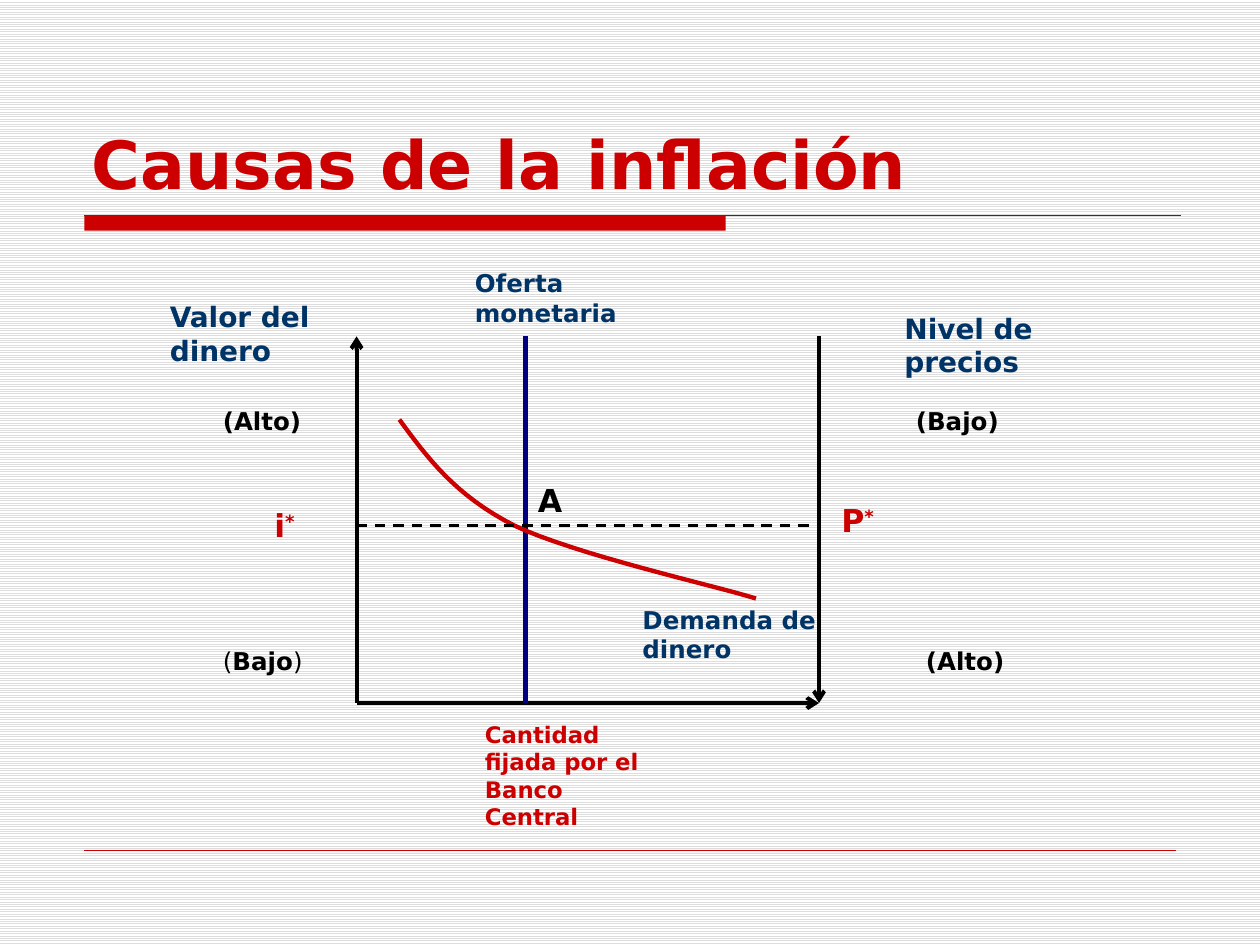
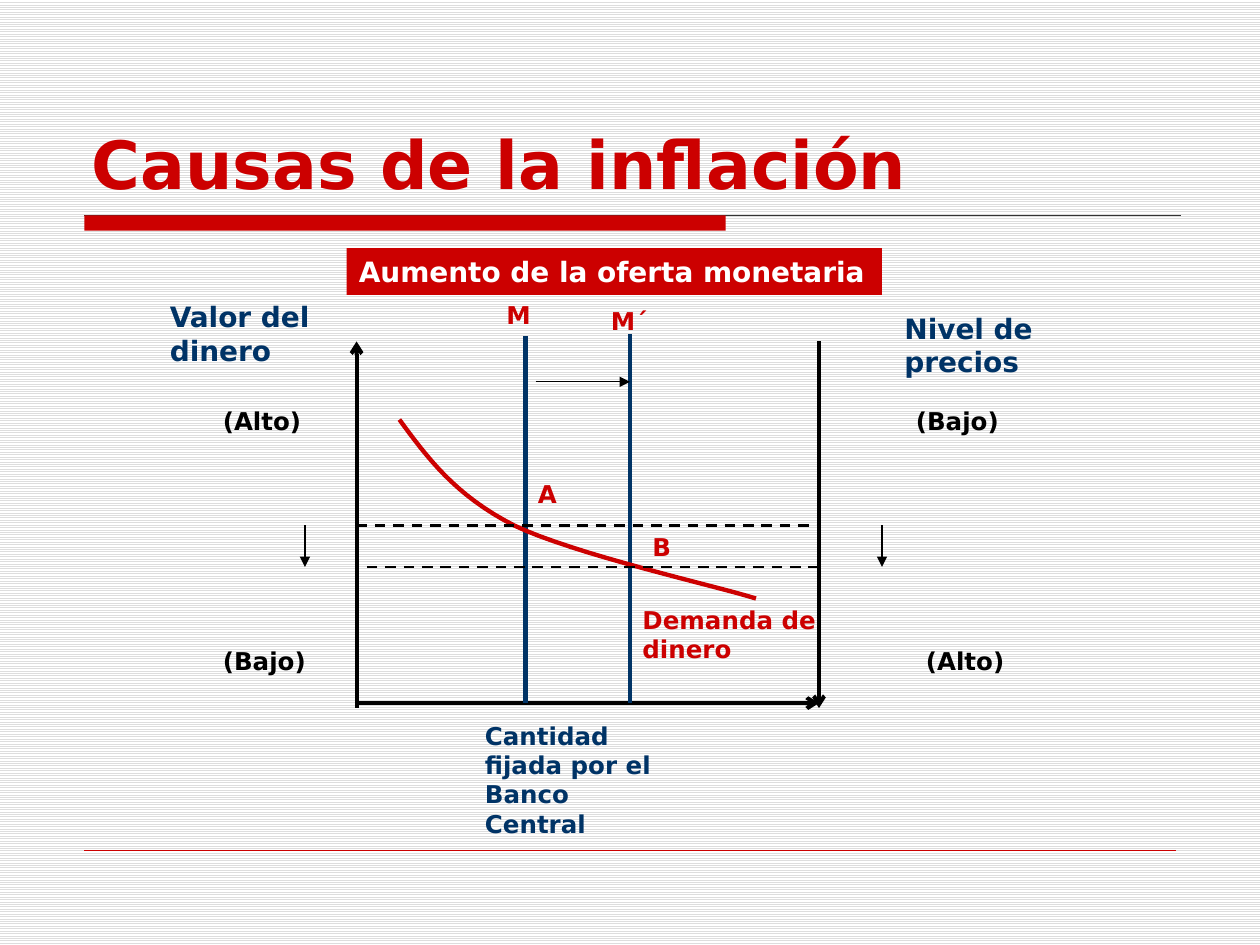
from lxml import etree
from pptx import Presentation
from pptx.dml.color import RGBColor
from pptx.enum.dml import MSO_LINE, MSO_PATTERN
from pptx.enum.shapes import MSO_CONNECTOR, MSO_SHAPE
from pptx.enum.text import MSO_ANCHOR, MSO_AUTO_SIZE, PP_ALIGN
from pptx.oxml.ns import qn
from pptx.util import Inches, Pt

STRAIGHT, RECTANGLE = MSO_CONNECTOR.STRAIGHT, MSO_SHAPE.RECTANGLE
DASH, STRIPES = MSO_LINE.DASH, MSO_PATTERN.LIGHT_HORIZONTAL
LEFT, TOP, BOTTOM = PP_ALIGN.LEFT, MSO_ANCHOR.TOP, MSO_ANCHOR.BOTTOM
NO_FIT = MSO_AUTO_SIZE.NONE

FONT = "DejaVu Sans"
RED, BLUE, NAVY = "CC0000", "003366", "000080"
BLACK, WHITE, GREY, RULE = "000000", "FFFFFF", "DDDDDD", "333333"
TITLE = "Causas de la inflación"

# Diagram geometry, in inches
AXIS_LEFT, AXIS_RIGHT, AXIS_BASE = 2.83, 6.5, 5.58
SUPPLY_X, NEW_SUPPLY_X = 4.17, 5
LEVEL_Y, NEW_LEVEL_Y = 4.17, 4.5
DEMAND = [  # cubic Bezier segments
    [(3.17, 3.33), (3.39, 3.63), (3.61, 3.93), (4.08, 4.17)],
    [(4.08, 4.17), (4.56, 4.4), (5.68, 4.65), (6, 4.75)],
]
STEPS = 16

# Line styles: width in points, dashed, arrow at start, arrow at end
STYLES = {
    "axis from": (2.25, False, "arrow", None),
    "axis to": (2.25, False, None, "arrow"),
    "supply": (2.5, False, None, None),
    "level": (1.5, True, None, None),
    "shift": (0.75, False, None, "triangle"),
}

# Labels: runs, left, top, width, height, size, colour
SHARED_LABELS = [
    ("Valor del dinero", 1.25, 2.33, 1.5, 0.64, 16, BLUE),
    ("Nivel de precios", 7.08, 2.42, 1.33, 0.64, 16, BLUE),
    ("(Bajo)", 7.17, 3.17, 1.08, 0.33, 14, BLACK),
    ("(Alto)", 7.25, 5.08, 1.08, 0.33, 14, BLACK),
    ("(Alto)", 1.67, 3.17, 1.08, 0.33, 14, BLACK),
]
QUANTITY = "Cantidad fijada por el Banco Central"
DEMAND_NAME = "Demanda de dinero"
SLIDES = [
    {
        "grouped": True,
        "axis_shift": 0,
        "supply_color": NAVY,
        "supplies": [(SUPPLY_X, 2.67)],
        "levels": [(AXIS_LEFT, AXIS_RIGHT, LEVEL_Y)],
        "shifts": [],
        "labels": [
            ([("(", "plain"), ("Bajo", "bold"), (")", "plain")],
             1.67, 5.08, 1.08, 0.33, 14, BLACK),
            ("Oferta monetaria", 3.67, 2.08, 1.58, 0.57, 14, BLUE),
            (QUANTITY, 3.75, 5.67, 1.58, 0.97, 13, RED),
            (DEMAND_NAME, 5, 4.75, 1.58, 0.57, 14, BLUE),
        ],
        "points": [
            ("A", 4.17, 3.77, 0.5, 0.4, 18, BLACK),
            ([("i", "bold"), ("*", "super")], 2.08, 3.97, 0.67, 0.4, 18, RED),
            ([("P", "bold"), ("*", "super")], 6.58, 3.93, 0.67, 0.4, 18, RED),
        ],
        "banner": None,
    },
    {
        "grouped": False,
        "axis_shift": 0.04,
        "supply_color": BLUE,
        "supplies": [(SUPPLY_X, 2.67), (NEW_SUPPLY_X, 2.65)],
        "levels": [(AXIS_LEFT, AXIS_RIGHT, LEVEL_Y),
                   (AXIS_RIGHT, AXIS_LEFT, NEW_LEVEL_Y)],
        "shifts": [(2.42, LEVEL_Y, 2.42, NEW_LEVEL_Y),
                   (7, LEVEL_Y, 7, NEW_LEVEL_Y),
                   (4.25, 3.03, NEW_SUPPLY_X, 3.03)],
        "labels": [
            ("(Bajo)", 1.67, 5.08, 1.08, 0.33, 14, BLACK),
            (QUANTITY, 3.75, 5.67, 1.58, 1.03, 14, BLUE),
            (DEMAND_NAME, 5, 4.75, 1.58, 0.57, 14, RED),
        ],
        "points": [
            ("M", 3.92, 2.33, 0.75, 0.33, 14, RED),
            ("M´", 4.75, 2.38, 0.75, 0.33, 14, RED),
            ("A", 4.17, 3.75, 0.75, 0.33, 14, RED),
            ("B", 5.08, 4.17, 0.75, 0.33, 14, RED),
        ],
        "banner": ("Aumento de la oferta monetaria", 2.75, 1.97, 4.25, 0.37, 16, WHITE),
    },
]


def rgb(color):
    """Turn a hex string into a colour."""
    return RGBColor.from_string(color)


def style_run(r, size, color, kind="bold"):
    """Format a run as bold, plain or bold superscript."""
    r.font.name, r.font.size = FONT, Pt(size)
    r.font.bold = kind != "plain"
    r.font.color.rgb = rgb(color)
    if kind == "super":
        r._r.get_or_add_rPr().set("baseline", "30000")


def write(shape, runs, size, color):
    """Fill a shape with one left-aligned paragraph."""
    tf = shape.text_frame
    tf.word_wrap, tf.vertical_anchor = True, TOP
    p = tf.paragraphs[0]
    p.alignment = LEFT
    for text, kind in [(runs, "bold")] if isinstance(runs, str) else runs:
        r = p.add_run()
        r.text = text
        style_run(r, size, color, kind)


def add_label(shapes, runs, x, y, w, h, size, color):
    """Add a wrapping text box."""
    box = shapes.add_textbox(Inches(x), Inches(y), Inches(w), Inches(h))
    write(box, runs, size, color)


def add_bar(shapes, x, y, w, h):
    """Add a plain red rectangle."""
    bar = shapes.add_shape(RECTANGLE, Inches(x), Inches(y), Inches(w), Inches(h))
    bar.shadow.inherit = False
    bar.fill.solid()
    bar.fill.fore_color.rgb = rgb(RED)
    bar.line.fill.background()
    return bar


def add_line(shapes, x1, y1, x2, y2, color, width, dashed=False, head=None, tail=None):
    """Add a straight line, optionally dashed or with arrowheads."""
    line = shapes.add_connector(STRAIGHT, Inches(x1), Inches(y1), Inches(x2), Inches(y2))
    line.line.color.rgb, line.line.width = rgb(color), Pt(width)
    if dashed:
        line.line.dash_style = DASH
    ln = line.line._get_or_add_ln()
    for tag, arrow in (("a:headEnd", head), ("a:tailEnd", tail)):
        if arrow:
            etree.SubElement(ln, qn(tag), type=arrow)
    etree.SubElement(line._element.spPr, qn("a:effectLst"))


def bezier(points, t):
    """Return the point at t on a cubic Bezier segment."""
    weights = ((1 - t) ** 3, 3 * t * (1 - t) ** 2, 3 * t ** 2 * (1 - t), t ** 3)
    return tuple(sum(w * p[axis] for w, p in zip(weights, points)) for axis in (0, 1))


def add_demand(shapes):
    """Draw the demand curve."""
    points = [(Inches(x), Inches(y)) for segment in DEMAND
              for x, y in (bezier(segment, i / STEPS) for i in range(1, STEPS + 1))]
    x, y = DEMAND[0][0]
    builder = shapes.build_freeform(Inches(x), Inches(y))
    builder.add_line_segments(points, close=False)
    curve = builder.convert_to_shape()
    curve.shadow.inherit = False
    curve.fill.background()
    curve.line.color.rgb, curve.line.width = rgb(RED), Pt(2.5)


def add_frame(s):
    """Add the title, the band below it and the footer rule."""
    add_line(s.shapes, 0.67, 1.71, 9.37, 1.71, RULE, 0.75)
    add_bar(s.shapes, 0.67, 1.71, 5.09, 0.12)
    add_line(s.shapes, 0.67, 6.75, 9.33, 6.75, RED, 0.25)
    title = s.shapes.title
    title.left, title.top = Inches(0.63), Inches(0.33)
    title.width, title.height = Inches(8.75), Inches(1.33)
    tf = title.text_frame
    tf.text = TITLE
    tf.auto_size, tf.vertical_anchor = NO_FIT, BOTTOM
    tf.paragraphs[0].alignment = LEFT
    style_run(tf.paragraphs[0].runs[0], 38, RED)


def add_diagram(s, data):
    """Draw the money market diagram of one slide."""
    shapes = s.shapes.add_group_shape().shapes if data["grouped"] else s.shapes
    top, bottom = 2.67 + data["axis_shift"], AXIS_BASE + data["axis_shift"]
    add_line(shapes, AXIS_LEFT, top, AXIS_LEFT, bottom, BLACK, *STYLES["axis from"])
    add_line(shapes, AXIS_LEFT, AXIS_BASE, AXIS_RIGHT, AXIS_BASE, BLACK, *STYLES["axis to"])
    add_line(shapes, AXIS_RIGHT, bottom, AXIS_RIGHT, top, BLACK, *STYLES["axis from"])
    for x, y in data["supplies"]:
        add_line(shapes, x, AXIS_BASE, x, y, data["supply_color"], *STYLES["supply"])
    add_demand(shapes)
    for label in SHARED_LABELS + data["labels"]:
        add_label(shapes, *label)
    for start, end, y in data["levels"]:
        add_line(shapes, start, y, end, y, BLACK, *STYLES["level"])
    for ends in data["shifts"]:
        add_line(shapes, *ends, BLACK, *STYLES["shift"])
    for label in data["points"]:
        add_label(s.shapes, *label)
    if data["banner"]:
        text, x, y, w, h, size, color = data["banner"]
        write(add_bar(s.shapes, x, y, w, h), text, size, color)


prs = Presentation()
prs.slide_width, prs.slide_height = Inches(10), Inches(7.5)
background = prs.slide_master.background.fill
background.patterned()
background.pattern = STRIPES
background.fore_color.rgb, background.back_color.rgb = rgb(GREY), rgb(WHITE)
title_only = prs.slide_layouts[5]
for data in SLIDES:
    s = prs.slides.add_slide(title_only)
    add_frame(s)
    add_diagram(s, data)
prs.save("out.pptx")
